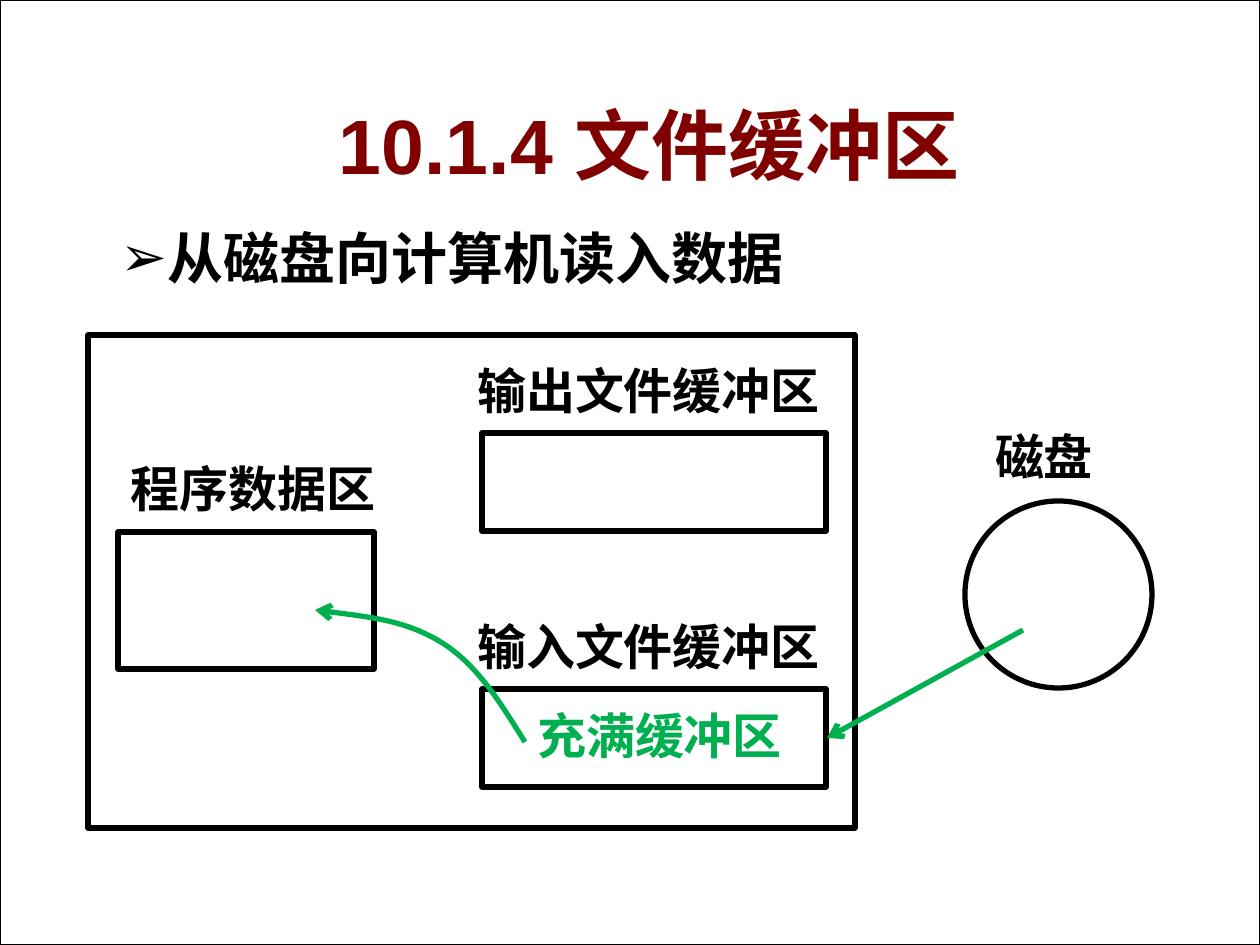
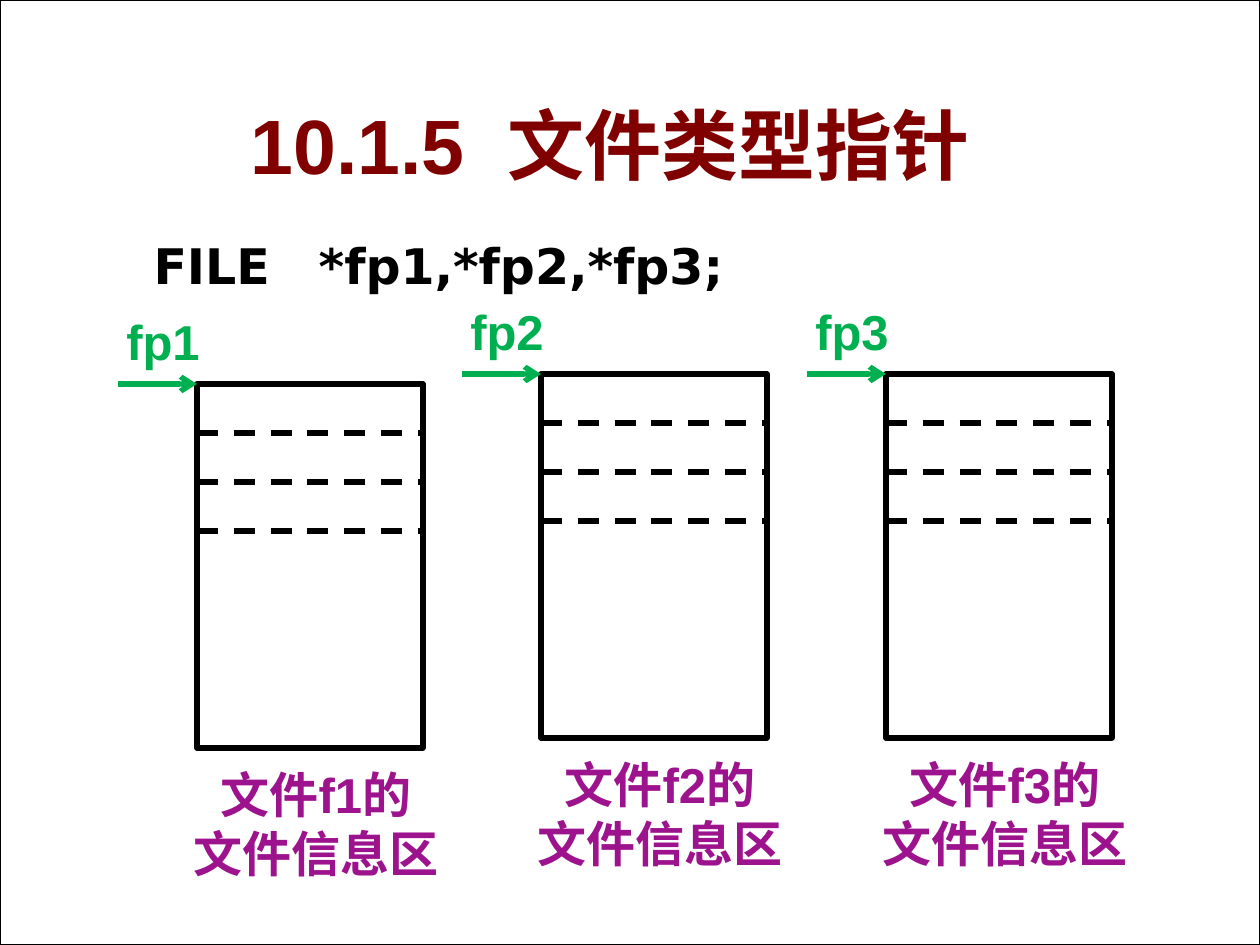
"""Build two slides on file buffers and file pointers."""
from dataclasses import dataclass

from lxml.etree import SubElement
from pptx import Presentation
from pptx.dml.color import RGBColor
from pptx.enum.dml import MSO_LINE
from pptx.enum.shapes import MSO_CONNECTOR, MSO_SHAPE
from pptx.enum.text import MSO_ANCHOR, MSO_AUTO_SIZE, PP_ALIGN
from pptx.oxml.ns import qn
from pptx.util import Pt

SCALE = 914400 / 126
WIDTH, HEIGHT = 1260, 945


@dataclass(frozen=True)
class Theme:
    backdrop: str = "F36721"
    paper: str = "FFFFFF"
    ink: str = "000000"
    heading: str = "800000"
    flow: str = "00B050"
    caption: str = "9D138D"
    shadow: str = "C0C0C0"
    font: str = "Arial"
    code_font: str = "DejaVu Sans"
    title_size: int = 44
    list_size: int = 32
    text_size: int = 28
    stroke: float = 3
    border: float = 0.75


THEME = Theme()

BUFFER_SLIDE = {
    "title": ("10.1.4", "文件缓冲区", 0),
    "title_at": (39, 91, 1221, 106),
    "list": "从磁盘向计算机读入数据",
    "list_at": (108, 217, 808, 81),
    "boxes": [
        (MSO_SHAPE.RECTANGLE, (88, 335, 767, 493), None),
        (MSO_SHAPE.RECTANGLE, (118, 532, 256, 137), None),
        (MSO_SHAPE.RECTANGLE, (482, 433, 344, 98), None),
        (MSO_SHAPE.RECTANGLE, (482, 689, 344, 98), None),
        (MSO_SHAPE.OVAL, (965, 501, 187, 187), THEME.paper),
    ],
    "labels": [
        ("程序数据区", (118, 452, 286, 72), PP_ALIGN.LEFT, THEME.ink),
        ("输出文件缓冲区", (452, 354, 393, 72), PP_ALIGN.CENTER, THEME.ink),
        ("输入文件缓冲区", (452, 610, 393, 72), PP_ALIGN.CENTER, THEME.ink),
        ("磁盘", (965, 420, 158, 72), PP_ALIGN.CENTER, THEME.ink),
        ("充满缓冲区", (512, 699, 295, 72), PP_ALIGN.CENTER, THEME.flow),
    ],
    "read_curve": [(525, 742), (501, 704), (479, 667), (444, 644),
                   (408, 621), (362, 616), (315, 610)],
    "disk_arrow": ((1023, 630), (827, 738)),
}

POINTER_SLIDE = {
    "title": ("10.1.5", "文件类型指针", 12),
    "title_at": (39, 91, 1142, 106),
    "code": "FILE　*fp1,*fp2,*fp3;",
    "code_at": (78, 217, 1123, 118),
    "files": [("fp1", "f1", 197, 384), ("fp2", "f2", 541, 374), ("fp3", "f3", 886, 374)],
    "record": (226, 364),
    "row_step": 49,
    "rows": 3,
}


def emu(length):
    return round(length * SCALE)


def apply(target, formats):
    for name, value in formats.items():
        setattr(target, name, value)


def place(box, area):
    apply(box, dict(zip(("left", "top", "width", "height"), map(emu, area))))


def write(para, text, size, color, font=THEME.font):
    span = para.add_run()
    span.text = text
    apply(span.font, {"size": Pt(size), "bold": True, "name": font})
    span.font.color.rgb = RGBColor.from_string(color)
    return span


def prepare(box):
    apply(box.text_frame, {"word_wrap": True, "auto_size": MSO_AUTO_SIZE.NONE})
    return box.text_frame.paragraphs[0]


def add_shadow(span):
    effects = SubElement(span.font.fill._xPr, qn("a:effectLst"))
    span.font.fill._xPr.find(qn("a:solidFill")).addnext(effects)
    outer = SubElement(effects, qn("a:outerShdw"), dist="38100", dir="2700000")
    SubElement(outer, qn("a:srgbClr"), val=THEME.shadow)


def add_title(page, content):
    number, name, gap = content["title"]
    box = page.shapes.title
    place(box, content["title_at"])
    para = prepare(box)
    para.alignment = PP_ALIGN.CENTER
    box.text_frame.vertical_anchor = MSO_ANCHOR.MIDDLE
    for text in (number, " ", name):
        span = write(para, text, THEME.title_size, THEME.heading)
        add_shadow(span)
        if text == " " and gap:
            span.font._element.set("spc", str(gap * 100))


def add_body(page, area, margin, indent, bullet):
    box = page.placeholders[1]
    place(box, area)
    para = prepare(box)
    props = para._p.get_or_add_pPr()
    props.set("marL", str(emu(margin)))
    props.set("indent", str(emu(indent)))
    if bullet:
        SubElement(props, qn("a:buFont"), typeface=THEME.font)
        SubElement(props, qn("a:buChar"), char=bullet)
    else:
        SubElement(props, qn("a:buNone"))
    return para


def add_label(page, lines, area, align, color):
    box = page.shapes.add_textbox(*map(emu, area))
    para = prepare(box)
    for index, text in enumerate(lines):
        para = box.text_frame.add_paragraph() if index else para
        para.alignment = align
        write(para, text, THEME.text_size, color)


def set_line(shape, color, width=THEME.stroke, arrow=False):
    shape.line.color.rgb = RGBColor.from_string(color)
    shape.line.width = Pt(width)
    if arrow:
        SubElement(shape.element.spPr.find(qn("a:ln")), qn("a:tailEnd"), type="arrow")


def add_box(shapes, kind, area, fill=None, width=THEME.stroke):
    box = shapes.add_shape(kind, *map(emu, area))
    box.shadow.inherit = False
    if fill:
        box.fill.solid()
        box.fill.fore_color.rgb = RGBColor.from_string(fill)
    else:
        box.fill.background()
    set_line(box, THEME.ink, width)
    return box


def add_line(shapes, start, end, color, arrow=False, dashed=False):
    line = shapes.add_connector(MSO_CONNECTOR.STRAIGHT, *map(emu, (*start, *end)))
    if dashed:
        line.line.dash_style = MSO_LINE.DASH
    set_line(line, color, arrow=arrow)
    SubElement(line.element.spPr, qn("a:effectLst"))


def add_curve(page, points):
    start, *rest = [(emu(x), emu(y)) for x, y in points]
    builder = page.shapes.build_freeform(*start, scale=1.0)
    builder.add_line_segments(rest, close=False)
    curve = builder.convert_to_shape()
    curve.shadow.inherit = False
    curve.fill.background()
    set_line(curve, THEME.flow, arrow=True)
    outline = next(curve.element.iter(qn("a:path")))
    segments = outline.findall(qn("a:lnTo"))
    for first in range(0, len(segments), 3):
        bend = SubElement(outline, qn("a:cubicBezTo"))
        for segment in segments[first:first + 3]:
            bend.append(segment[0])
            outline.remove(segment)


def add_page(deck, content):
    page = deck.slides.add_slide(deck.slide_layouts[1])
    add_title(page, content)
    return page


def style_master(deck, page):
    master = deck.slide_master
    master.background.fill.solid()
    master.background.fill.fore_color.rgb = RGBColor.from_string(THEME.backdrop)
    sheet = add_box(page.shapes, MSO_SHAPE.RECTANGLE, (0, 0, WIDTH, HEIGHT),
                    THEME.paper, THEME.border)
    master.shapes.element.insert(2, sheet.element)


def build_buffers(deck):
    content = BUFFER_SLIDE
    page = add_page(deck, content)
    style_master(deck, page)
    para = add_body(page, content["list_at"], 0, 0, "➢")
    para.space_before = Pt(0)
    write(para, content["list"], THEME.list_size, THEME.ink)
    for kind, area, fill in content["boxes"]:
        add_box(page.shapes, kind, area, fill)
    for text, area, align, color in content["labels"]:
        add_label(page, [text], area, align, color)
    add_curve(page, content["read_curve"])
    add_line(page.shapes, *content["disk_arrow"], THEME.flow, arrow=True)


def build_pointers(deck):
    content = POINTER_SLIDE
    page = add_page(deck, content)
    para = add_body(page, content["code_at"], 102, -39, None)
    apply(para, {"level": 1, "line_spacing": 1.2, "space_before": Pt(5.6)})
    write(para, content["code"], THEME.text_size, THEME.ink, THEME.code_font)
    width, height = content["record"]
    for pointer, name, left, top in content["files"]:
        add_label(page, [f"文件{name}的", "文件信息区"], (left - 19, top + 374, 276, 131),
                  PP_ALIGN.CENTER, THEME.caption)
        record = page.shapes.add_group_shape().shapes
        add_box(record, MSO_SHAPE.RECTANGLE, (left, top, width, height))
        for row in range(1, content["rows"] + 1):
            level = top + row * content["row_step"]
            add_line(record, (left, level), (left + width, level), THEME.ink, dashed=True)
        add_label(page, [pointer], (left - 88, top - 79, 108, 72),
                  PP_ALIGN.CENTER, THEME.flow)
        add_line(page.shapes, (left - 79, top), (left, top), THEME.flow, arrow=True)


def main():
    deck = Presentation()
    apply(deck, {"slide_width": emu(WIDTH), "slide_height": emu(HEIGHT)})
    build_buffers(deck)
    build_pointers(deck)
    deck.save("out.pptx")


if __name__ == "__main__":
    main()
